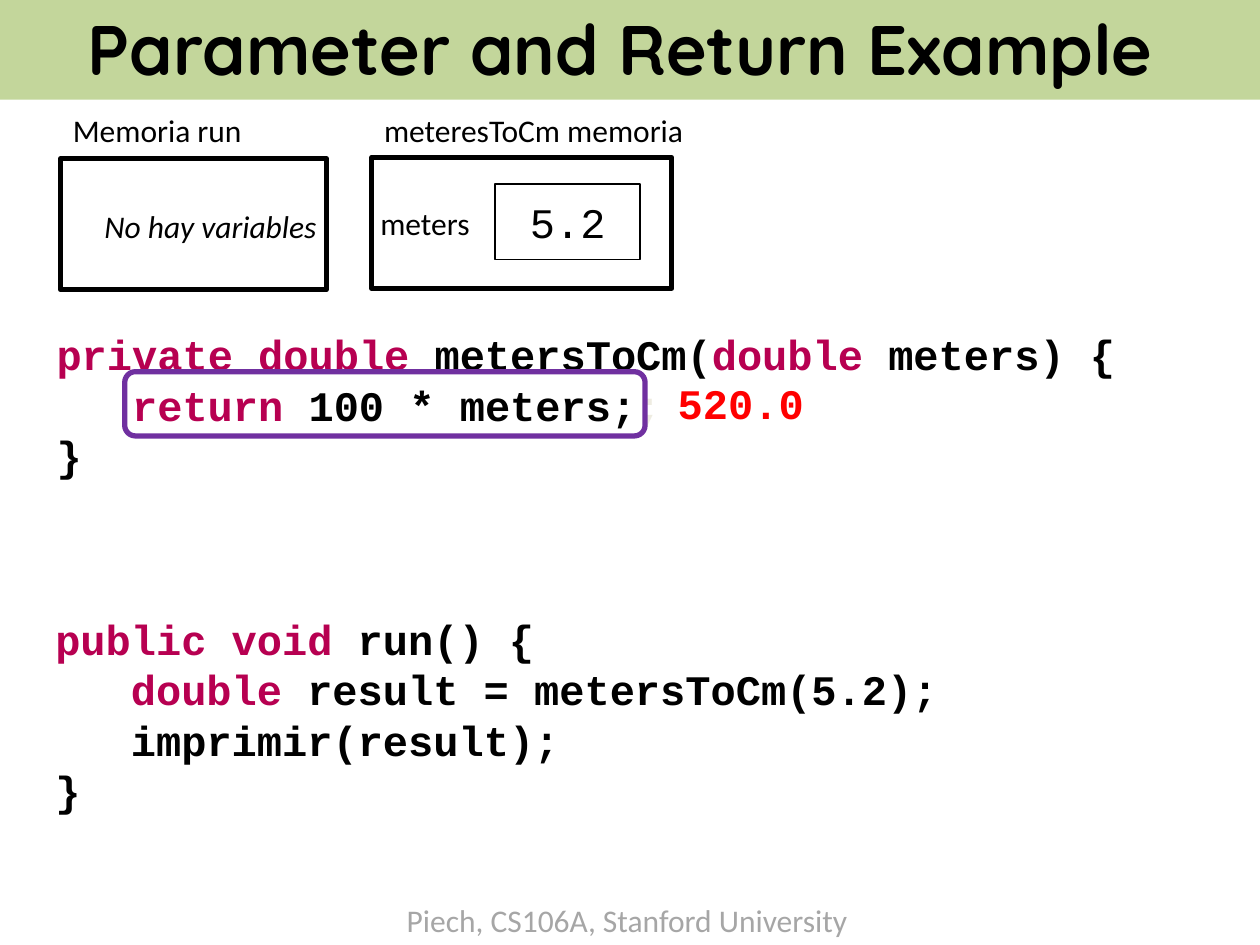
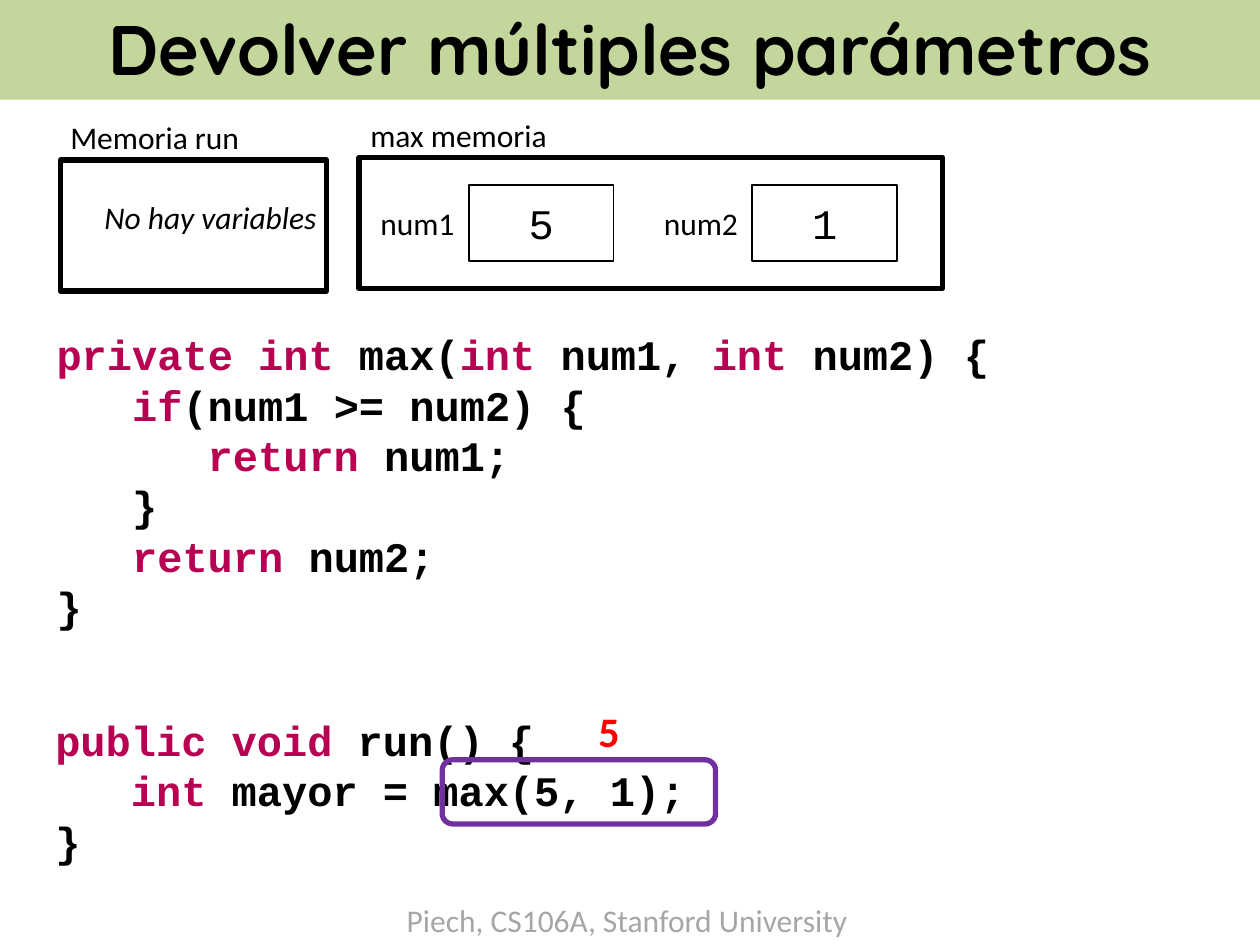
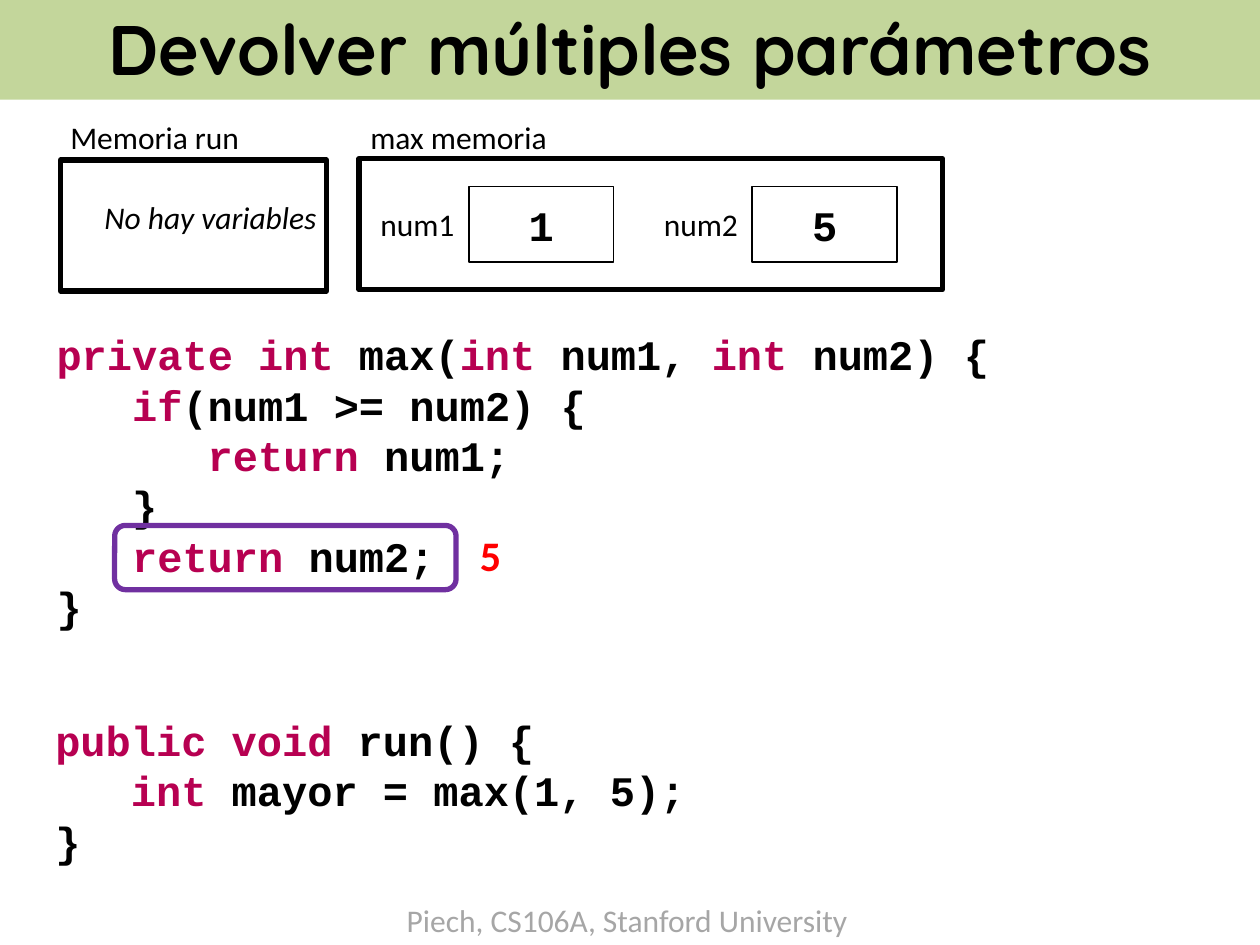
from pptx import Presentation
from pptx import util as u
from pptx.dml.color import RGBColor
from pptx.enum import shapes, text

COLOURS = {"ink": "000000", "keyword": "B70051", "pale": "EEECE1", "band": "C3D69B",
           "focus": "7030A0", "answer": "FF0000", "footer": "A6A6A6"}
BODY, CODE, TITLE = "Calibri", "Courier New", "Quicksand"
MAX_CODE = ["|private int |max(|int |num1, |int |num2) {",
            "   |if|(num1 >= num2) {",
            "      |return |num1;",
            "   }",
            "   |return |num2;",
            "}"]


def colour(name):
    """Return the named palette colour."""
    return RGBColor.from_string(COLOURS[name])


def place(*lengths):
    """Convert left, top, width and height from inches."""
    return [u.Inches(v) for v in lengths]


def add_run(p, words, ink="ink", size=18, **fmt):
    """Add a formatted run to a paragraph."""
    r = p.add_run()
    r.text = words
    r.font.size = u.Pt(size)
    r.font.color.rgb = colour(ink)
    for key, value in fmt.items():
        setattr(r.font, key, value)


def add_label(s, left, top, width, words, height=0.4, **fmt):
    """Add a one-line text box that fits its words."""
    tf = s.shapes.add_textbox(*place(left, top, width, height)).text_frame
    tf.word_wrap = False
    tf.auto_size = text.MSO_AUTO_SIZE.SHAPE_TO_FIT_TEXT
    add_run(tf.paragraphs[0], words, **{"name": BODY, **fmt})


def add_frame(s, left, top, width, height, line="ink", weight=3,
              kind=shapes.MSO_SHAPE.RECTANGLE):
    """Add an unfilled outline."""
    sp = s.shapes.add_shape(kind, *place(left, top, width, height))
    sp.shadow.inherit = False
    sp.fill.background()
    sp.line.color.rgb = colour(line)
    sp.line.width = u.Pt(weight)
    return sp


def add_focus(s, left, top, width):
    """Outline the line of code being run."""
    add_frame(s, left, top, width, 0.51, "focus", kind=shapes.MSO_SHAPE.ROUNDED_RECTANGLE)


def add_answer(s, left, top, width, words, name=BODY):
    """Show a returned value in red."""
    add_label(s, left, top, width, words, 0.5, ink="answer", size=24, bold=True, name=name)


def add_variable(s, left, top, name, width, box_left, box_top, value, bold=False):
    """Add a variable name beside its boxed value."""
    add_label(s, left, top, width, name)
    sp = add_frame(s, box_left, box_top, 1.15, 0.6, weight=1)
    tf = sp.text_frame
    tf.vertical_anchor = text.MSO_ANCHOR.MIDDLE
    p = tf.paragraphs[0]
    p.alignment = text.PP_ALIGN.CENTER
    add_run(p, value, size=24, name=CODE, bold=bold)


def add_code(s, left, top, lines):
    """Add code: bars enclose keywords and a tilde starts pale text."""
    tf = s.shapes.add_textbox(*place(left, top, 9.32, 0.41 * len(lines) + 0.1)).text_frame
    tf.word_wrap = True
    for i, line in enumerate(lines):
        p = tf.add_paragraph() if i else tf.paragraphs[0]
        main_part, _, pale = line.partition("~")
        parts = [(part, "keyword" if j % 2 else "ink")
                 for j, part in enumerate(main_part.split("|"))]
        for words, ink in parts + [(pale, "pale")]:
            if words:
                add_run(p, words, ink, 24, name=CODE, bold=True)


def add_run_memory(s, box_top, label_left, label_top, note_top):
    """Add the empty memory of the run method."""
    add_frame(s, 0.48, box_top, 2.11, 1.04)
    add_label(s, label_left, label_top, 1.56, "Memoria run")
    add_label(s, 0.73, note_top, 1.97, "No hay variables", italic=True)


def new_slide(prs, title):
    """Add a slide with the title band and footer."""
    s = prs.slides.add_slide(prs.slide_layouts[5])
    sp = s.shapes.title
    sp.left, sp.top, sp.width, sp.height = place(0, -0.03, 10, 0.82)
    sp.fill.solid()
    sp.fill.fore_color.rgb = colour("band")
    tf = sp.text_frame
    tf.auto_size = text.MSO_AUTO_SIZE.NONE
    tf.vertical_anchor = text.MSO_ANCHOR.MIDDLE
    p = tf.paragraphs[0]
    p.alignment = text.PP_ALIGN.CENTER
    add_run(p, title, size=40, name=TITLE, bold=True)
    add_label(s, 3.13, 7.1, 3.74, "Piech, CS106A, Stanford University", ink="footer")
    return s


def meters_slide(prs):
    """Build the slide that returns a converted length."""
    s = new_slide(prs, "Parameter and Return Example ")
    add_code(s, 0.35, 2.56, ["|private double |metersToCm(|double |meters) {",
                             "   |return |100 * meters;~;",
                             "}"])
    add_code(s, 0.34, 4.82, ["|public void |run() {",
                             "   |double| result = metersToCm(5.2);",
                             "   imprimir(result);",
                             "}"])
    add_run_memory(s, 1.26, 0.48, 0.83, 1.59)
    add_focus(s, 0.99, 2.95, 4.13)
    add_frame(s, 2.95, 1.25, 2.38, 1.04)
    add_label(s, 2.95, 0.83, 2.63, "meteresToCm memoria")
    add_variable(s, 2.92, 1.57, "meters", 0.92, 3.93, 1.46, "5.2")
    add_answer(s, 5.28, 2.95, 1.21, "520.0", CODE)


def max_slide(prs, values, top, label_top, focus, answer, bold=False):
    """Build a slide that calls max with two values."""
    s = new_slide(prs, "Devolver múltiples parámetros")
    add_code(s, 0.35, 2.56, MAX_CODE)
    add_code(s, 0.34, 5.62, ["|public void |run() {",
                             f"   |int| mayor = max({', '.join(values)});",
                             "}"])
    add_run_memory(s, 1.27, 0.46, 0.89, 1.52)
    add_focus(s, *focus)
    add_frame(s, 2.85, top, 4.63, 1.04)
    add_label(s, 2.84, label_top, 1.62, "max memoria")
    for i, value in enumerate(values):
        left = 2.92 + 2.25 * i
        add_variable(s, left, top + 0.32, f"num{i + 1}", 0.8,
                     left + 0.8, top + 0.22, value, bold)
    add_answer(s, *answer, 0.37, "5")


def main():
    """Build and save the presentation."""
    prs = Presentation()
    prs.slide_width, prs.slide_height = place(10, 7.5)
    meters_slide(prs)
    max_slide(prs, ["5", "1"], 1.25, 0.87, (3.51, 6.03, 2.17), (4.65, 5.55))
    max_slide(prs, ["1", "5"], 1.26, 0.89, (0.91, 4.17, 2.71), (3.71, 4.15), bold=True)
    prs.save("out.pptx")


if __name__ == "__main__":
    main()
